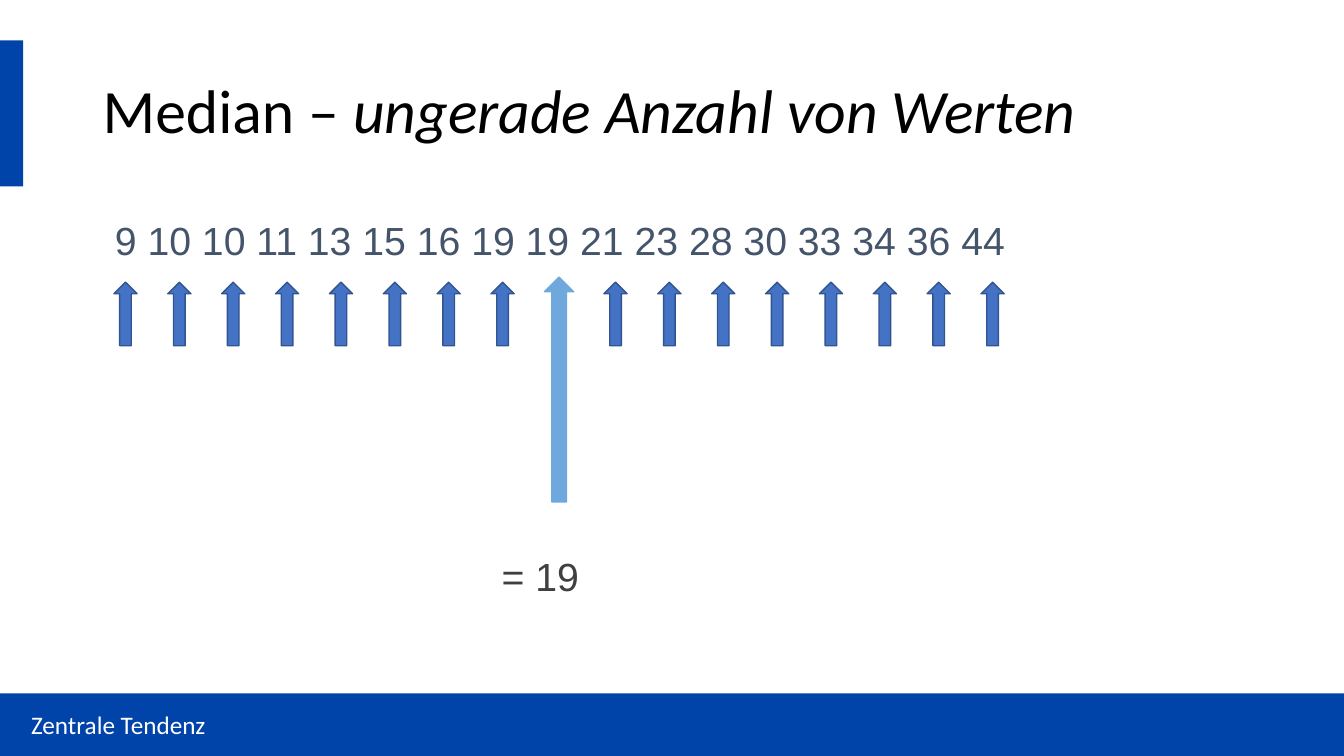
from pptx import Presentation
from pptx.dml.color import RGBColor
from pptx.enum.shapes import MSO_SHAPE
from pptx.enum.text import MSO_ANCHOR
from pptx.util import Pt

PX = 9144  # 100 px to the inch
SLIDE_W, SLIDE_H = 1333, 750
COLORS = {
    "brand": "0044AA",
    "title": "000000",
    "values": "44546A",
    "result": "404040",
    "footer": "FFFFFF",
    "arrow": "4472C4",
    "arrow_edge": "325491",
    "median": "6FA8DC",
}
VALUES = [9, 10, 10, 11, 13, 15, 16, 19, 19, 21, 23, 28, 30, 33, 34, 36, 44]


def emu(*lengths):
    return [round(length * PX) for length in lengths]


def add_block(slide, kind, box, fill, edge=None):
    block = slide.shapes.add_shape(kind, *emu(*box))
    block.shadow.inherit = False
    block.fill.solid()
    block.fill.fore_color.rgb = RGBColor.from_string(COLORS[fill])
    if edge:
        block.line.color.rgb = RGBColor.from_string(COLORS[edge])
        block.line.width = Pt(1)
    else:
        block.line.fill.background()


def add_text(slide, box, pieces, font, size, color, inset=(10, 5),
             anchor=MSO_ANCHOR.TOP, spacing=1.0):
    """Place one paragraph; pieces are (text, italic) pairs."""
    frame = slide.shapes.add_textbox(*emu(*box)).text_frame
    frame.word_wrap = True
    frame.vertical_anchor = anchor
    frame.margin_left, frame.margin_top = emu(*inset)
    paragraph = frame.paragraphs[0]
    paragraph.line_spacing = spacing
    for text, italic in pieces:
        run = paragraph.add_run()
        run.text = text
        run.font.name = font
        run.font.size = Pt(size)
        run.font.italic = italic
        run.font.color.rgb = RGBColor.from_string(COLORS[color])


def add_header(slide, left, top, width, height):
    add_block(slide, MSO_SHAPE.RECTANGLE, (left, top, 23, height), "brand")
    title = [("Median – ", False), ("ungerade Anzahl von Werten", True)]
    add_text(slide, (left + 92, top, width - 183, height), title, "Calibri", 44,
             "title", anchor=MSO_ANCHOR.MIDDLE, spacing=0.9)


def add_median_row(slide, left, top, width):
    """Sorted values, an arrow under each, and the long arrow at the middle one."""
    middle = len(VALUES) // 2
    add_block(slide, MSO_SHAPE.UP_ARROW, (left + 448, top + 77, 29, 223),
              "median", "median")
    add_text(slide, (left, top, width, 63), [(" ".join(map(str, VALUES)), False)],
             "Arial", 28, "values", inset=(22, 10), spacing=1.15)
    step = 374 / (middle - 1)
    for half_left in (left + 21, left + 507):
        for index in range(middle):
            arrow_box = (half_left + index * step, top + 82, 23, 63)
            add_block(slide, MSO_SHAPE.UP_ARROW, arrow_box, "arrow", "arrow_edge")
    add_text(slide, (left + 385, top + 345, 120, 57), [(f" = {VALUES[middle]}", False)],
             "Arial", 28, "result")


def add_footer(slide, left, top, width, height):
    add_block(slide, MSO_SHAPE.RECTANGLE, (left, top, width, height), "brand")
    add_text(slide, (left + 21, top + 11, 450, 40), [("Zentrale Tendenz", False)],
             "Calibri", 18, "footer", anchor=MSO_ANCHOR.MIDDLE)


def main():
    deck = Presentation()
    deck.slide_width, deck.slide_height = emu(SLIDE_W, SLIDE_H)
    slide = deck.slides.add_slide(deck.slide_layouts[6])
    add_header(slide, 0, 40, SLIDE_W, 145)
    add_footer(slide, 0, 688, SLIDE_W, 62)
    add_median_row(slide, 92, 198, 966)
    deck.save("out.pptx")


if __name__ == "__main__":
    main()
